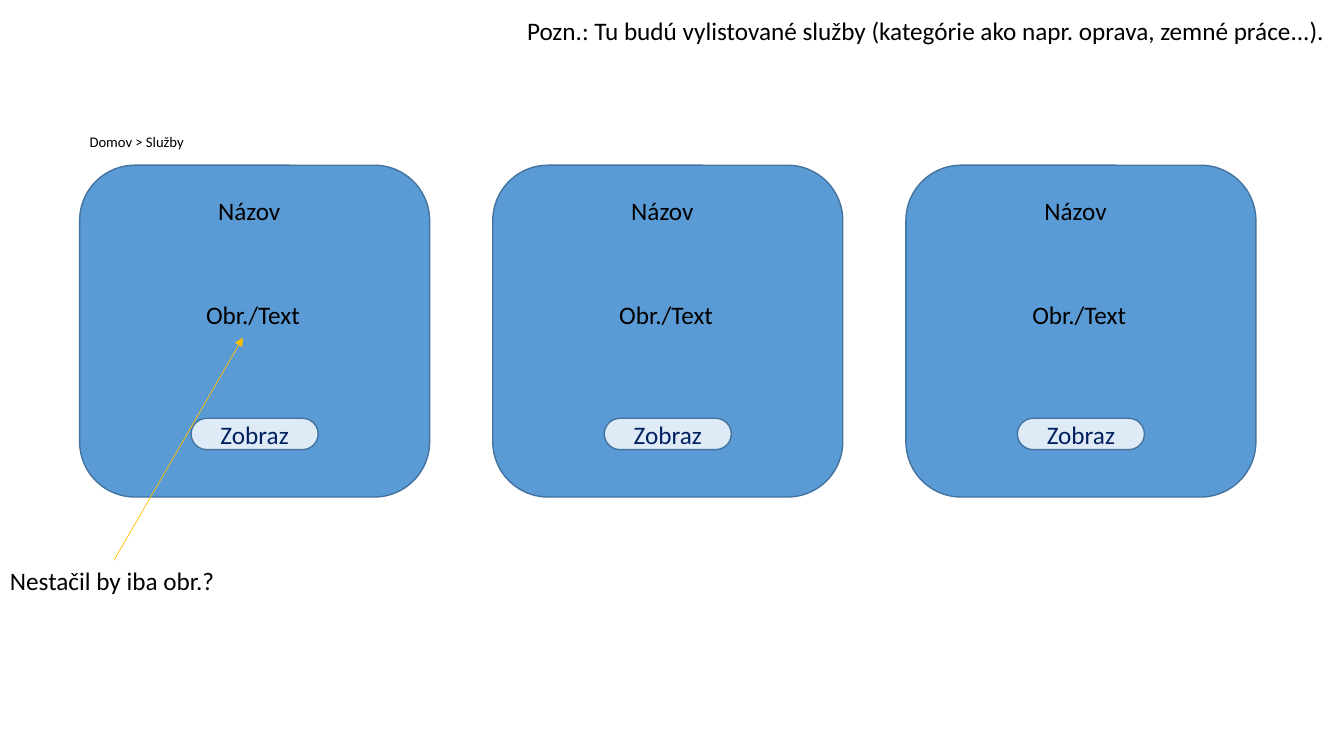
import pptx
import pptx.util
import pptx.dml.color
import pptx.enum.shapes
import pptx.enum.text
import pptx.oxml
import pptx.oxml.ns
import lxml.etree

Pt = pptx.util.Pt
SHAPE = pptx.enum.shapes.MSO_SHAPE
TEXT = pptx.enum.text

# Content: text, left, top, width, height, size
notes = [
    ("Domov > Služby", 56.9, 91.4, 82.8, 20, 10.5),
    ("Pozn.: Tu budú vylistované služby (kategórie ako napr. oprava, zemné práce...).",
     369.4, 7.2, 599.8, 29, 18),
    ("Nestačil by iba obr.?", 0, 400.3, 162, 29, 18),
]
# Labels in a card, placed from the card's left edge
card_labels = [
    ("Názov", 91.8, 136.2, 66.2, 29, 18),
    ("Obr./Text", 83.2, 210.4, 93.6, 29, 18),
]
button_label = "Zobraz"
card_count, card_left, card_pitch = 3, 56.9, 295.1
card_top, card_w, card_h = 118, 250, 237
button_top, button_w, button_h = 298.8, 90.8, 22.4
arrow = (81.4, 400.3, 173.5, 241.2)


def rgb(code):
    return pptx.dml.color.RGBColor.from_string(code)


def add_run(tf, text, size, color):
    r = tf.paragraphs[0].add_run()
    r.text = text
    r.font.name, r.font.size = "Calibri", Pt(size)
    r.font.color.rgb = rgb(color)


def add_label(text, left, top, width, height, size, wrap=False):
    tf = s.shapes.add_textbox(Pt(left), Pt(top), Pt(width), Pt(height)).text_frame
    tf.word_wrap = wrap
    tf.auto_size = TEXT.MSO_AUTO_SIZE.SHAPE_TO_FIT_TEXT
    add_run(tf, text, size, "000000")


def add_box(left, top, width, height, fill):
    sp = s.shapes.add_shape(SHAPE.ROUNDED_RECTANGLE, Pt(left), Pt(top), Pt(width), Pt(height))
    sp.shadow.inherit = False
    sp.fill.solid()
    sp.fill.fore_color.rgb = rgb(fill)
    sp.line.color.rgb = rgb("43739E")
    sp.line.width = Pt(1)
    return sp


prs = pptx.Presentation()
prs.slide_width, prs.slide_height = Pt(960), Pt(540)
s = prs.slides.add_slide(prs.slide_layouts[6])

# Service cards
for i in range(card_count):
    left = card_left + i * card_pitch
    add_box(left, card_top, card_w, card_h, "5B9BD5")
    button = add_box(left + (card_w - button_w) / 2, button_top, button_w, button_h, "DEEBF7")
    button.adjustments[0] = 0.5
    tf = button.text_frame
    tf.vertical_anchor = TEXT.MSO_ANCHOR.MIDDLE
    tf.paragraphs[0].alignment = TEXT.PP_ALIGN.CENTER
    add_run(tf, button_label, 18, "002060")
    for text, dx, *place in card_labels:
        add_label(text, left + dx, *place, wrap=True)

# Breadcrumb and remarks
for note in notes:
    add_label(*note)

# Arrow from the question to the first card
line = s.shapes.add_connector(pptx.enum.shapes.MSO_CONNECTOR.STRAIGHT, *map(Pt, arrow))
line.line.color.rgb = rgb("FFC000")
line.line.width = Pt(0.5)
qn = pptx.oxml.ns.qn
lxml.etree.SubElement(line.line._get_or_add_ln(), qn("a:tailEnd"), type="triangle")
lxml.etree.SubElement(line._element.spPr, qn("a:effectLst"))

prs.save("out.pptx")
